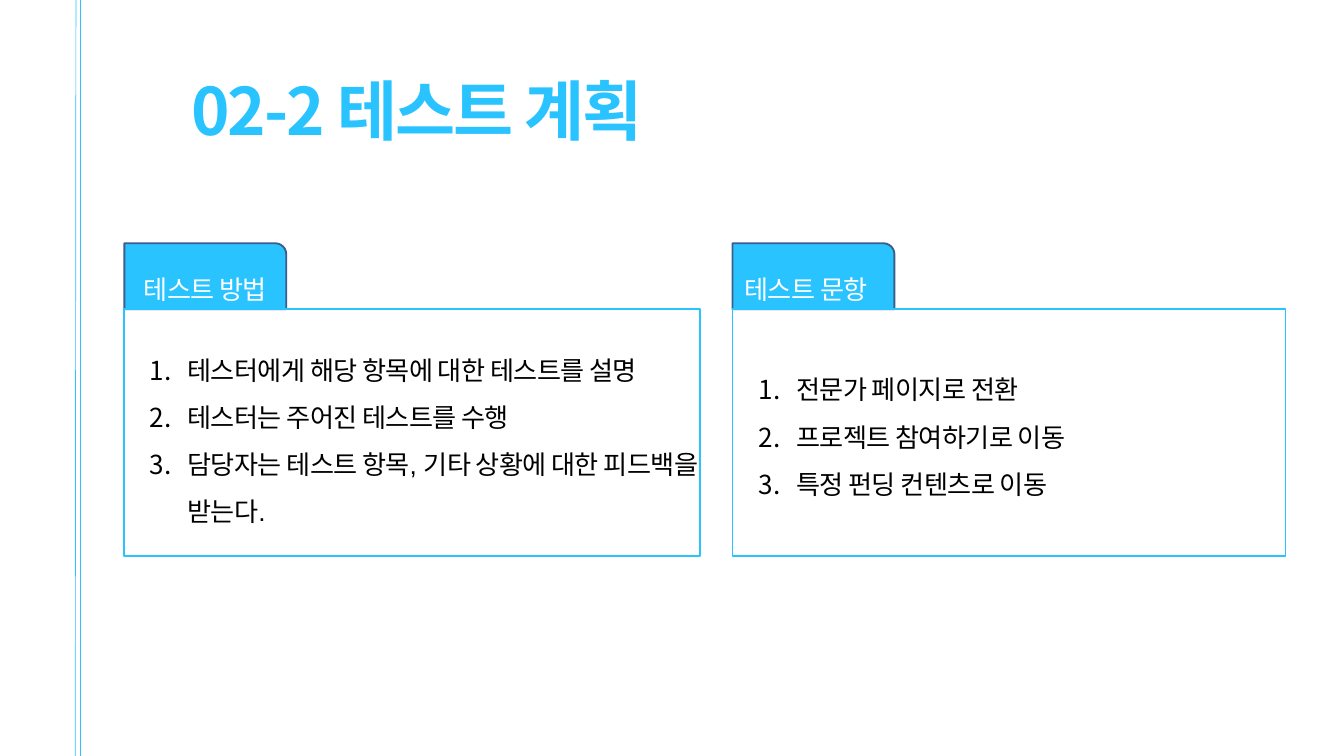
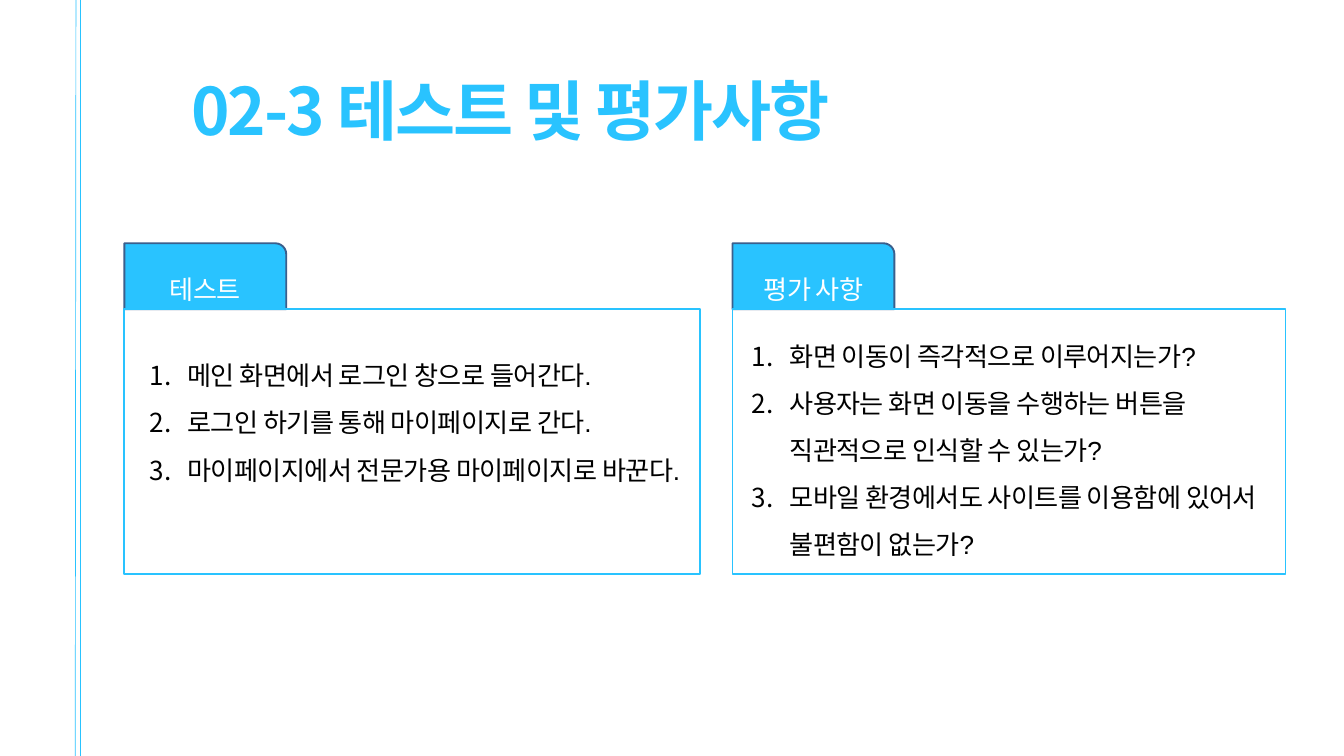
from lxml import etree
from pptx import Presentation
from pptx import util as u
from pptx.dml.color import RGBColor
from pptx.enum import shapes, text
from pptx.oxml import ns

SKY = RGBColor(0x29, 0xC3, 0xFF)
NAVY = RGBColor(0x3A, 0x5F, 0x8C)
WHITE = RGBColor(0xFF, 0xFF, 0xFF)
BLACK = RGBColor(0, 0, 0)
LATIN, HANGUL = "Arial", "Noto Sans CJK KR"

WIDTH, HEIGHT = 20, 11.25
TITLE_BOX = (2.85, 0.46, 12.77, 1.57)
RAILS = ((1.12, 1.13), (1.19, 1.19))
PANEL_COLUMNS = ((1.85, 8.57), (10.9, 8.23))
TAB_TOP, TAB_WIDTH, TAB_HEIGHT = 3.62, 2.41, 0.98
LABEL_RISE, LABEL_HEIGHT = 0.03, 0.82
INDENT = 0.56

PAGES = [
    {
        "title": "02-2 테스트 계획",
        "body_height": 3.68,
        "panels": [
            {"label": "테스트 방법", "offset": (0.38, 0.44), "size": (8.19, 2.75),
             "items": ["테스터에게 해당 항목에 대한 테스트를 설명",
                       "테스터는 주어진 테스트를 수행",
                       "담당자는 테스트 항목, 기타 상황에 대한 피드백을 받는다."]},
            {"label": "테스트 문항", "label_inset": 0.22,
             "offset": (0.39, 0.73), "size": (5.04, 2.04),
             "items": ["전문가 페이지로 전환",
                       "프로젝트 참여하기로 이동",
                       "특정 펀딩 컨텐츠로 이동"]},
        ],
    },
    {
        "title": "02-3 테스트 및 평가사항",
        "body_height": 3.94,
        "panels": [
            {"label": "테스트", "offset": (0.38, 0.52), "size": (8.19, 2.75),
             "items": ["메인 화면에서 로그인 창으로 들어간다.",
                       "로그인 하기를 통해 마이페이지로 간다.",
                       "마이페이지에서 전문가용 마이페이지로 바꾼다."]},
            {"label": "평가 사항", "offset": (0.29, 0.23), "size": (7.81, 3.46),
             "items": ["화면 이동이 즉각적으로 이루어지는가?",
                       "사용자는 화면 이동을 수행하는 버튼을 직관적으로 인식할 수 있는가?",
                       "모바일 환경에서도 사이트를 이용함에 있어서 불편함이 없는가?"]},
        ],
    },
]


def inches(*lengths):
    return [u.Inches(length) for length in lengths]


def prepare_frame(frame):
    frame.margin_left = frame.margin_right = frame.margin_top = frame.margin_bottom = 0
    frame.word_wrap = True
    frame.vertical_anchor = text.MSO_ANCHOR.TOP
    frame.auto_size = text.MSO_AUTO_SIZE.SHAPE_TO_FIT_TEXT
    return frame


def add_words(paragraph, words, size, color, latin=LATIN, bold=False, spacing=-0.6):
    run = paragraph.add_run()
    run.text = words
    run.font.size = u.Pt(size)
    run.font.bold = bold
    run.font.color.rgb = color
    run.font.name = latin
    properties = run.font._element
    properties.set("spc", str(round(spacing * 100)))
    etree.SubElement(properties, ns.qn("a:ea"), typeface=HANGUL)


def number_paragraph(paragraph):
    properties = paragraph._p.get_or_add_pPr()
    properties.set("marL", str(u.Inches(INDENT)))
    properties.set("indent", str(-u.Inches(INDENT)))
    etree.SubElement(properties, ns.qn("a:buFont"), typeface=HANGUL)
    etree.SubElement(properties, ns.qn("a:buAutoNum"), type="arabicPeriod")


def add_rails(slide):
    for bottom_x, top_x in RAILS:
        rail = slide.shapes.add_connector(
            shapes.MSO_CONNECTOR.STRAIGHT, *inches(bottom_x, HEIGHT, top_x, 0))
        rail.line.color.rgb = SKY
        rail.line.width = u.Pt(0.75)
        etree.SubElement(rail._element.spPr, ns.qn("a:effectLst"))


def set_title(slide, words):
    title = slide.shapes.title
    title.left, title.top, title.width, title.height = inches(*TITLE_BOX)
    paragraph = prepare_frame(title.text_frame).paragraphs[0]
    paragraph.alignment = text.PP_ALIGN.LEFT
    paragraph.line_spacing = u.Pt(126)
    add_words(paragraph, words, 70, SKY, HANGUL, True, -2.2)


def add_block(slide, kind, box, fill, outline):
    block = slide.shapes.add_shape(kind, *inches(*box))
    block.shadow.inherit = False
    if fill is None:
        block.fill.background()
    else:
        block.fill.solid()
        block.fill.fore_color.rgb = fill
    block.line.color.rgb = outline
    block.line.width = u.Pt(2)


def add_label(slide, box, words, inset):
    label = slide.shapes.add_textbox(*inches(*box))
    frame = prepare_frame(label.text_frame)
    frame.margin_right = u.Inches(inset)
    paragraph = frame.paragraphs[0]
    paragraph.alignment = text.PP_ALIGN.CENTER
    paragraph.line_spacing = u.Pt(68.4)
    add_words(paragraph, words, 28, WHITE)


def add_items(slide, box, items):
    steps = slide.shapes.add_textbox(*inches(*box))
    frame = prepare_frame(steps.text_frame)
    for index, item in enumerate(items):
        paragraph = frame.add_paragraph() if index else frame.paragraphs[0]
        paragraph.line_spacing = 1.5
        number_paragraph(paragraph)
        add_words(paragraph, item, 28, BLACK)


def add_panel(slide, box, panel):
    left, top, width, height = box
    body_top = top + TAB_HEIGHT
    add_block(slide, shapes.MSO_SHAPE.ROUND_1_RECTANGLE,
              (left, top, TAB_WIDTH, TAB_HEIGHT), SKY, NAVY)
    add_block(slide, shapes.MSO_SHAPE.RECTANGLE,
              (left, body_top, width, height - TAB_HEIGHT), None, SKY)
    add_label(slide, (left, top - LABEL_RISE, TAB_WIDTH, LABEL_HEIGHT),
              panel["label"], panel.get("label_inset", 0))
    dx, dy = panel["offset"]
    add_items(slide, (left + dx, body_top + dy, *panel["size"]), panel["items"])


def add_page(deck, page):
    slide = deck.slides.add_slide(deck.slide_layouts.get_by_name("Title Only"))
    add_rails(slide)
    set_title(slide, page["title"])
    for (left, width), panel in zip(PANEL_COLUMNS, page["panels"]):
        add_panel(slide, (left, TAB_TOP, width, TAB_HEIGHT + page["body_height"]), panel)


def main():
    deck = Presentation()
    deck.slide_width, deck.slide_height = inches(WIDTH, HEIGHT)
    for page in PAGES:
        add_page(deck, page)
    deck.save("out.pptx")


if __name__ == "__main__":
    main()
